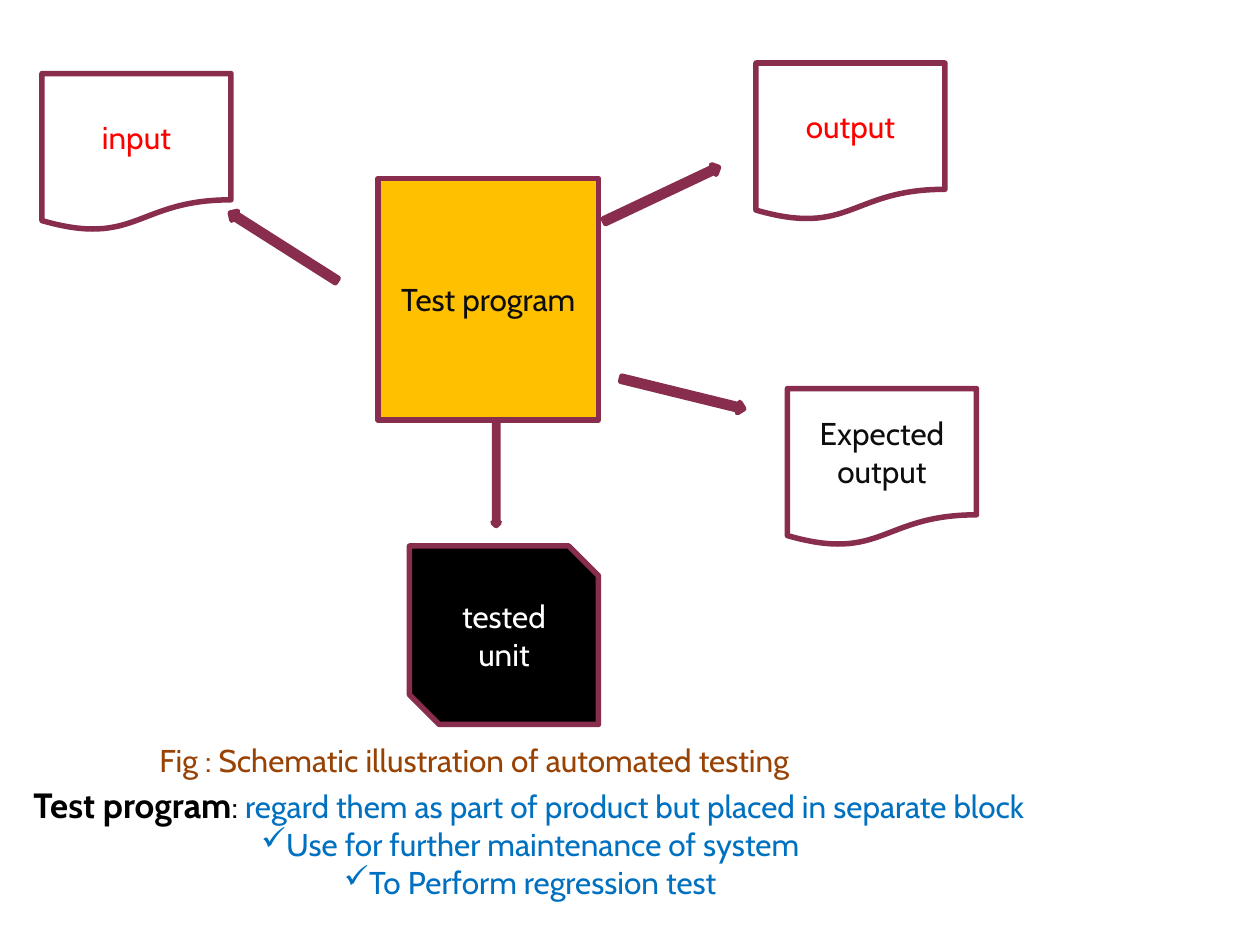
from dataclasses import dataclass

from lxml.etree import SubElement
from pptx import Presentation
from pptx.dml.color import RGBColor
from pptx.enum.shapes import MSO_SHAPE as Preset
from pptx.enum.text import MSO_ANCHOR as Anchor, PP_ALIGN as Align
from pptx.oxml.ns import qn
from pptx.util import Inches, Pt


@dataclass(frozen=True)
class Theme:
    font: str = "Cabin"
    body: float = 18
    lead: float = 20
    outline: float = 3.15
    plum: str = "882D4D"
    amber: str = "FFC000"
    white: str = "FFFFFF"
    black: str = "000000"
    ink: str = "0D0D0D"
    red: str = "FF0000"
    brown: str = "984204"
    blue: str = "0070C0"


@dataclass(frozen=True)
class Area:
    """Columns and rows of a grid with twelve cells to the inch."""
    column: float
    row: float
    columns: float
    rows: float


@dataclass(frozen=True)
class Node:
    text: str
    preset: Preset
    area: Area
    fill: str
    color: str


@dataclass(frozen=True)
class Arrow:
    area: Area
    rotation: float


@dataclass(frozen=True)
class Phrase:
    text: str
    color: str
    size: float
    bold: bool = False


THEME = Theme()
CELLS_PER_INCH = 12
DOCUMENT = Preset.FLOWCHART_DOCUMENT

NODES = [
    Node("Test program", Preset.RECTANGLE, Area(36, 17, 21, 23), THEME.amber, THEME.ink),
    Node("input", DOCUMENT, Area(4, 7, 18, 15), THEME.white, THEME.red),
    Node("Expected output", DOCUMENT, Area(75, 37, 18, 15), THEME.white, THEME.ink),
    Node("output", DOCUMENT, Area(72, 6, 18, 15), THEME.white, THEME.red),
    Node("tested unit", Preset.SNIP_2_DIAG_RECTANGLE, Area(39, 52, 18, 17),
         THEME.black, THEME.white),
]
ARROWS = [
    Arrow(Area(21, 23, 12, 1), 212.4),
    Arrow(Area(42.25, 44.75, 10, 0.6), 90),
    Arrow(Area(59, 37, 12, 1), 13.8),
    Arrow(Area(57, 18, 12, 1), 334.7),
]
CAPTION = Phrase("Fig : Schematic illustration of automated testing", THEME.brown, THEME.body)
DEFINITION = [
    Phrase("Test program", THEME.black, THEME.lead, True),
    Phrase(": ", THEME.black, THEME.body),
    Phrase("regard them as part of product but placed in separate block",
           THEME.blue, THEME.body),
]
USES = ["Use for further maintenance of system", "To Perform regression test"]


def place(area: Area) -> list:
    cells = (area.column, area.row, area.columns, area.rows)
    return [Inches(cell / CELLS_PER_INCH) for cell in cells]


def add_phrase(paragraph, phrase: Phrase) -> None:
    run = paragraph.add_run()
    run.text = phrase.text
    run.font.name = THEME.font
    run.font.size = Pt(phrase.size)
    run.font.bold = phrase.bold
    run.font.color.rgb = RGBColor.from_string(phrase.color)


def add_outlined(slide, preset: Preset, area: Area, fill: str):
    shape = slide.shapes.add_shape(preset, *place(area))
    shape.shadow.inherit = False
    shape.fill.solid()
    shape.fill.fore_color.rgb = RGBColor.from_string(fill)
    shape.line.color.rgb = RGBColor.from_string(THEME.plum)
    shape.line.width = Pt(THEME.outline)
    return shape


def add_node(slide, node: Node) -> None:
    text_frame = add_outlined(slide, node.preset, node.area, node.fill).text_frame
    text_frame.word_wrap = True
    text_frame.vertical_anchor = Anchor.MIDDLE
    paragraph = text_frame.paragraphs[0]
    paragraph.alignment = Align.CENTER
    add_phrase(paragraph, Phrase(node.text, node.color, THEME.body))


def add_arrow(slide, arrow: Arrow) -> None:
    add_outlined(slide, Preset.RIGHT_ARROW, arrow.area, THEME.black).rotation = arrow.rotation


def add_text(slide, area: Area, phrases: list[Phrase]):
    text_frame = slide.shapes.add_textbox(*place(area)).text_frame
    text_frame.word_wrap = True
    for phrase in phrases:
        add_phrase(text_frame.paragraphs[0], phrase)
    return text_frame


def add_check(text_frame, text: str) -> None:
    paragraph = text_frame.add_paragraph()
    paragraph.alignment = Align.CENTER
    properties = paragraph._p.get_or_add_pPr()
    properties.set("marL", str(Inches(0.2)))
    properties.set("indent", str(Inches(-0.2)))
    SubElement(properties, qn("a:buChar"), char="✓")
    add_phrase(paragraph, Phrase(text, THEME.blue, THEME.body))


def main() -> None:
    presentation = Presentation()
    presentation.slide_width = Inches(10)
    presentation.slide_height = Inches(7.5)
    slide = presentation.slides.add_slide(presentation.slide_layouts[6])

    # Diagram
    for node in NODES:
        add_node(slide, node)
    for arrow in ARROWS:
        add_arrow(slide, arrow)

    # Caption and explanation
    add_text(slide, Area(14, 70, 64, 5), [CAPTION])
    explanation = add_text(slide, Area(2, 74, 97, 14), DEFINITION)
    for use in USES:
        add_check(explanation, use)

    presentation.save("out.pptx")


if __name__ == "__main__":
    main()
